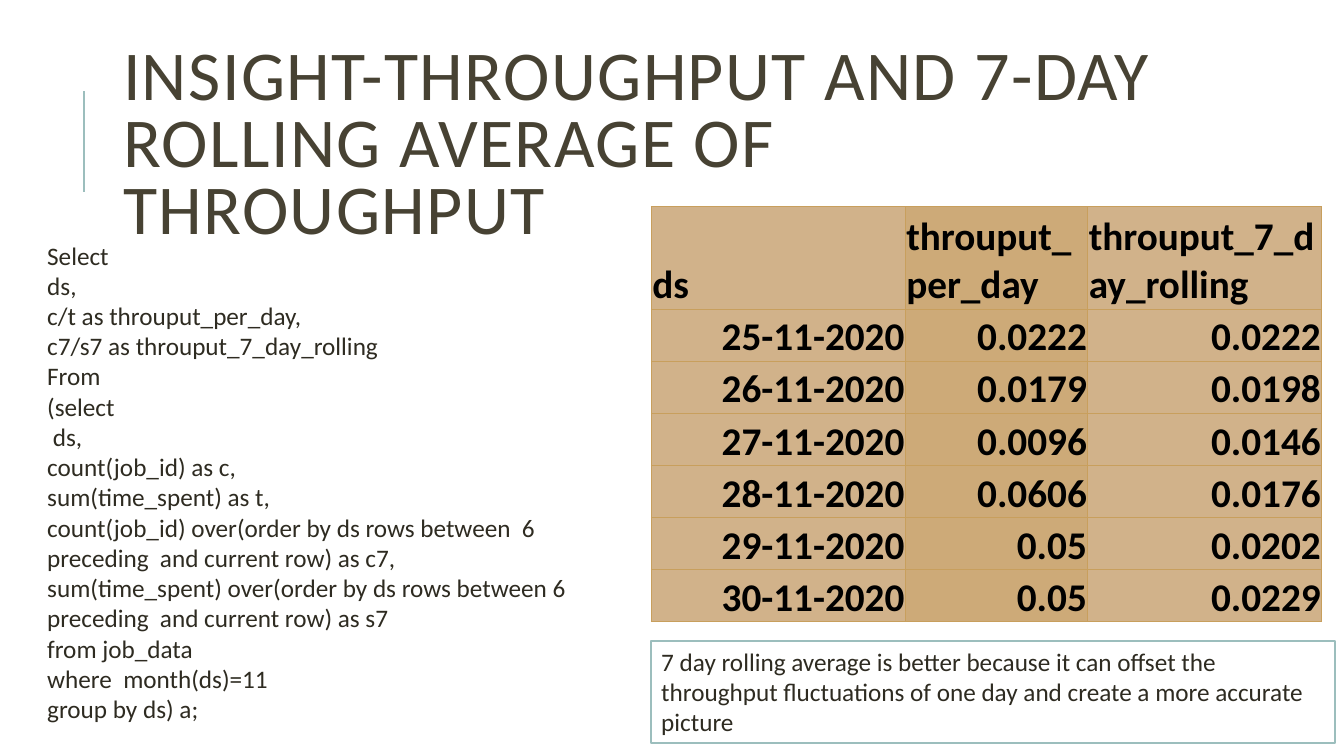
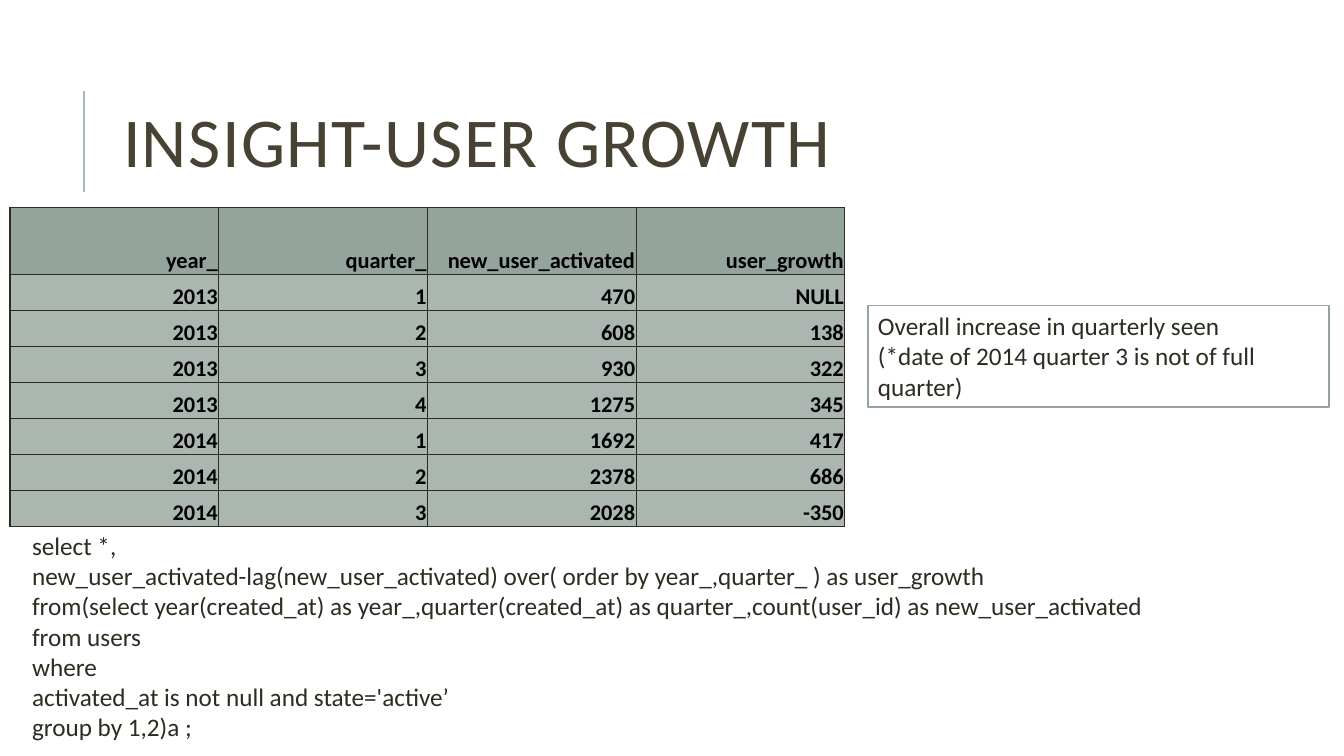
from dataclasses import dataclass

import lxml.etree
import pptx
import pptx.dml.color
import pptx.enum.shapes
import pptx.enum.text
import pptx.oxml.ns
import pptx.presentation
import pptx.slide
import pptx.table
import pptx.text.text
import pptx.util

Inches = pptx.util.Inches
Pt = pptx.util.Pt
RGBColor = pptx.dml.color.RGBColor
ALIGN = pptx.enum.text.PP_ALIGN
ANCHOR = pptx.enum.text.MSO_ANCHOR

FONT = "Calibri"
WHITE = RGBColor(0xFF, 0xFF, 0xFF)
BLACK = RGBColor(0x00, 0x00, 0x00)
INK = RGBColor(0x2E, 0x2B, 0x21)
TITLE_BROWN = RGBColor(0x47, 0x42, 0x33)
TEAL = RGBColor(0x9C, 0xBE, 0xBD)
SAGE = RGBColor(0x95, 0xA3, 0x9D)
PALE_SAGE = RGBColor(0xAC, 0xB6, 0xB1)
OCHRE = RGBColor(0xC8, 0x9F, 0x5D)
TAN = RGBColor(0xD1, 0xB2, 0x8A)
DEEP_TAN = RGBColor(0xCD, 0xAA, 0x78)


@dataclass(frozen=True)
class Area:
    left: float
    top: float
    width: float
    height: float

    def emu(self) -> tuple[int, int, int, int]:
        return (Inches(self.left), Inches(self.top),
                Inches(self.width), Inches(self.height))


@dataclass(frozen=True)
class TextBlock:
    area: Area
    lines: list[str]
    border: RGBColor | None = None


@dataclass(frozen=True)
class ResultTable:
    area: Area
    column_widths: list[float]
    header_height: float
    rows: list[list[str]]
    size: float
    border: RGBColor
    border_width: float
    fill: RGBColor
    header_fill: RGBColor
    header_align: ALIGN = ALIGN.RIGHT
    accent_column: int | None = None
    accent_fill: RGBColor | None = None
    first_divider_width: float | None = None


@dataclass(frozen=True)
class Insight:
    title: str
    table: ResultTable
    query: TextBlock
    note: TextBlock


TITLE_AREA = Area(1.12, 0.64, 10.63, 1.64)

THROUGHPUT = Insight(
    title="INSIGHT-THROUGHPUT AND 7-DAY ROLLING AVERAGE OF THROUGHPUT",
    table=ResultTable(
        area=Area(6.46, 2.05, 6.65, 4.12),
        column_widths=[2.52, 1.81, 2.32],
        header_height=1.02,
        rows=[
            ["ds", "throuput_per_day", "throuput_7_day_rolling"],
            ["25-11-2020", "0.0222", "0.0222"],
            ["26-11-2020", "0.0179", "0.0198"],
            ["27-11-2020", "0.0096", "0.0146"],
            ["28-11-2020", "0.0606", "0.0176"],
            ["29-11-2020", "0.05", "0.0202"],
            ["30-11-2020", "0.05", "0.0229"],
        ],
        size=28, border=OCHRE, border_width=0.75,
        fill=TAN, header_fill=TAN, header_align=ALIGN.LEFT,
        accent_column=1, accent_fill=DEEP_TAN, first_divider_width=1.25,
    ),
    query=TextBlock(Area(0.37, 2.33, 5.54, 4.95), [
        "Select",
        "ds,",
        "c/t as throuput_per_day,",
        "c7/s7 as throuput_7_day_rolling",
        "From",
        "(select",
        " ds,",
        "count(job_id) as c,",
        "sum(time_spent) as t,",
        "count(job_id) over(order by ds rows between  6 preceding  and current row) as c7,",
        "sum(time_spent) over(order by ds rows between 6 preceding  and current row) as s7",
        "from job_data",
        "where  month(ds)=11",
        "group by ds) a;",
    ]),
    note=TextBlock(Area(6.46, 6.36, 6.78, 1.01), [
        "7 day rolling average is better because it can offset the throughput "
        "fluctuations of one day and create a more accurate picture",
    ], border=TEAL),
)

USER_GROWTH = Insight(
    title="INSIGHT-USER GROWTH",
    table=ResultTable(
        area=Area(0.1, 2.06, 8.3, 3.16),
        column_widths=[2.07] * 4,
        header_height=0.66,
        rows=[
            ["year_", "quarter_", "new_user_activated", "user_growth"],
            ["2013", "1", "470", "NULL"],
            ["2013", "2", "608", "138"],
            ["2013", "3", "930", "322"],
            ["2013", "4", "1275", "345"],
            ["2014", "1", "1692", "417"],
            ["2014", "2", "2378", "686"],
            ["2014", "3", "2028", "-350"],
        ],
        size=16, border=INK, border_width=1,
        fill=PALE_SAGE, header_fill=SAGE,
    ),
    query=TextBlock(Area(0.22, 5.21, 12.9, 2.22), [
        "select *,",
        "new_user_activated-lag(new_user_activated) over( order by year_,quarter_ ) as user_growth",
        "from(select year(created_at) as year_,quarter(created_at) as quarter_,"
        "count(user_id) as new_user_activated",
        "from users",
        "where",
        "activated_at is not null and state='active’",
        "group by 1,2)a ;",
    ]),
    note=TextBlock(Area(8.61, 3.03, 4.57, 1.01), [
        "Overall increase in quarterly seen",
        "(*date of 2014 quarter 3 is not of full quarter)",
    ], border=SAGE),
)


def write_text(frame: pptx.text.text.TextFrame, lines: list[str], *, size: float = 18,
               color: RGBColor = INK, bold: bool = False, align: ALIGN = ALIGN.LEFT,
               line_spacing: float | None = None, letter_spacing: float = 0) -> None:
    """Fill an empty frame, one paragraph a line."""
    for index, line in enumerate(lines):
        para = frame.add_paragraph() if index else frame.paragraphs[0]
        para.alignment = align
        para.line_spacing = line_spacing
        span = para.add_run()
        span.text = line
        span.font.name = FONT
        span.font.size = Pt(size)
        span.font.bold = bold
        span.font.color.rgb = color
        if letter_spacing:
            span.font._element.set("spc", str(round(letter_spacing * 100)))


def prepare_title(layout: pptx.slide.SlideLayout) -> None:
    """Place the title once, for every slide on this layout."""
    title = layout.placeholders[0]
    title.left, title.top, title.width, title.height = TITLE_AREA.emu()
    title.text_frame.vertical_anchor = ANCHOR.MIDDLE
    title.text_frame.auto_size = pptx.enum.text.MSO_AUTO_SIZE.NONE


def add_title(page: pptx.slide.Slide, title: str) -> None:
    rule = page.shapes.add_connector(
        pptx.enum.shapes.MSO_CONNECTOR.STRAIGHT,
        Inches(0.83), Inches(1.9), Inches(0.83), Inches(0.9))
    rule.line.color.rgb = TEAL
    rule.line.width = Pt(1.5)
    lxml.etree.SubElement(rule._element.spPr, pptx.oxml.ns.qn("a:effectLst"))
    write_text(page.shapes.title.text_frame, [title], size=50, color=TITLE_BROWN,
               line_spacing=0.8, letter_spacing=1)


def add_text_block(page: pptx.slide.Slide, block: TextBlock) -> None:
    if block.border is None:
        box = page.shapes.add_textbox(*block.area.emu())
    else:
        box = page.shapes.add_shape(
            pptx.enum.shapes.MSO_SHAPE.RECTANGLE, *block.area.emu())
        box.shadow.inherit = False
        box.fill.solid()
        box.fill.fore_color.rgb = WHITE
        box.line.color.rgb = block.border
        box.line.width = Pt(1.25)
    frame = box.text_frame
    frame.word_wrap = True
    frame.auto_size = pptx.enum.text.MSO_AUTO_SIZE.SHAPE_TO_FIT_TEXT
    frame.vertical_anchor = ANCHOR.TOP
    write_text(frame, block.lines)


def set_borders(cell: pptx.table._Cell, color: RGBColor, widths: dict[str, float]) -> None:
    """Draw the sides L, R, T and B, which must come before the fill."""
    properties = cell._tc.get_or_add_tcPr()
    for index, (side, width) in enumerate(widths.items()):
        line = lxml.etree.Element(pptx.oxml.ns.qn(f"a:ln{side}"), w=str(Pt(width)))
        fill = lxml.etree.SubElement(line, pptx.oxml.ns.qn("a:solidFill"))
        lxml.etree.SubElement(fill, pptx.oxml.ns.qn("a:srgbClr"), val=str(color))
        properties.insert(index, line)


def add_result_table(page: pptx.slide.Slide, result: ResultTable) -> None:
    row_count = len(result.rows)
    table = page.shapes.add_table(
        row_count, len(result.column_widths), *result.area.emu()).table
    table.first_row = table.horz_banding = False
    for column, width in zip(table.columns, result.column_widths):
        column.width = Inches(width)
    body_height = (result.area.height - result.header_height) / (row_count - 1)

    for row_index, values in enumerate(result.rows):
        is_header = row_index == 0
        table.rows[row_index].height = Inches(
            result.header_height if is_header else body_height)
        for column_index, value in enumerate(values):
            cell = table.cell(row_index, column_index)
            cell.margin_left = cell.margin_right = cell.margin_top = Inches(0.01)
            cell.margin_bottom = 0
            cell.vertical_anchor = ANCHOR.BOTTOM
            cell.fill.solid()
            if column_index == result.accent_column:
                cell.fill.fore_color.rgb = result.accent_fill
            else:
                cell.fill.fore_color.rgb = result.header_fill if is_header else result.fill
            widths = dict.fromkeys("LRTB", result.border_width)
            if result.first_divider_width and column_index < 2:
                widths["RL"[column_index]] = result.first_divider_width
            set_borders(cell, result.border, widths)
            write_text(cell.text_frame, [value], size=result.size, color=BLACK, bold=True,
                       align=result.header_align if is_header else ALIGN.RIGHT)


def add_insight(deck: pptx.presentation.Presentation, layout: pptx.slide.SlideLayout,
                insight: Insight) -> None:
    page = deck.slides.add_slide(layout)
    add_title(page, insight.title)
    add_result_table(page, insight.table)
    add_text_block(page, insight.query)
    add_text_block(page, insight.note)


def main() -> None:
    deck = pptx.Presentation()
    deck.slide_width = Inches(13.33)
    deck.slide_height = Inches(7.5)
    layout = deck.slide_layouts.get_by_name("Title Only")
    prepare_title(layout)
    for insight in (THROUGHPUT, USER_GROWTH):
        add_insight(deck, layout, insight)
    deck.save("out.pptx")


if __name__ == "__main__":
    main()
